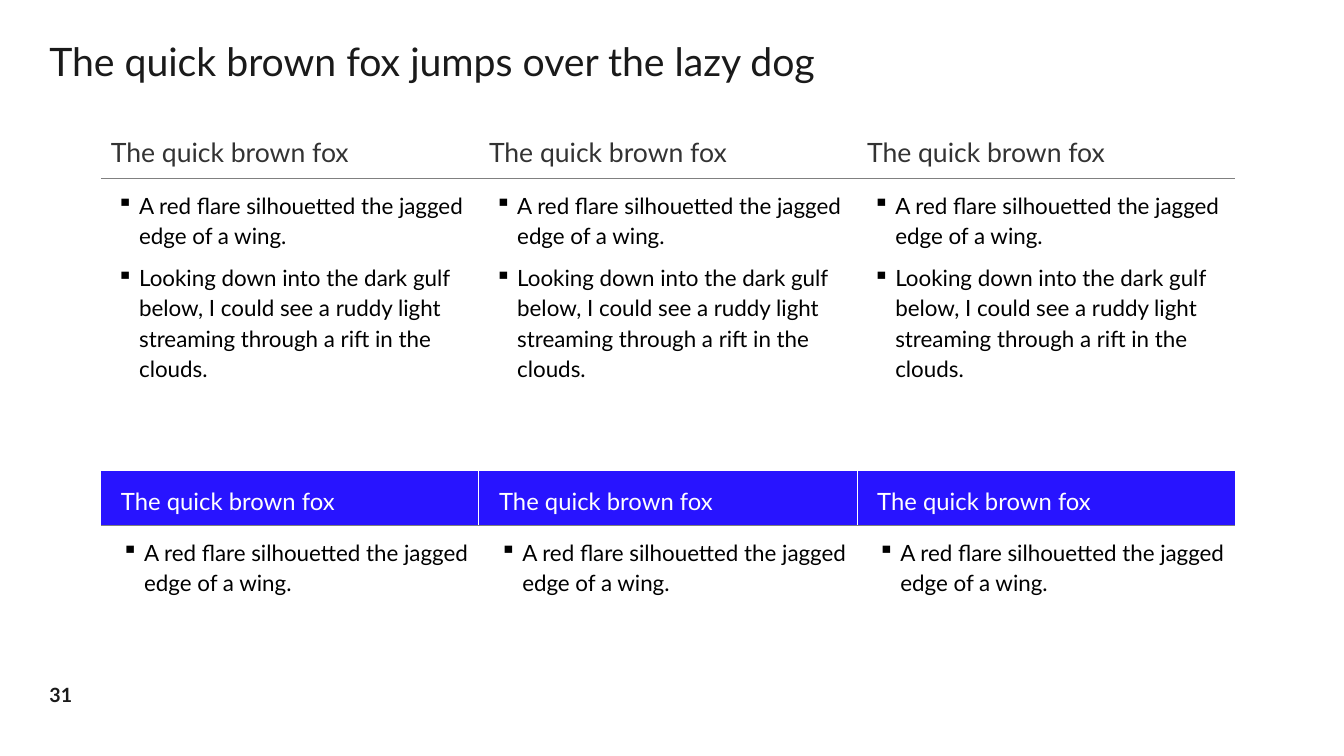
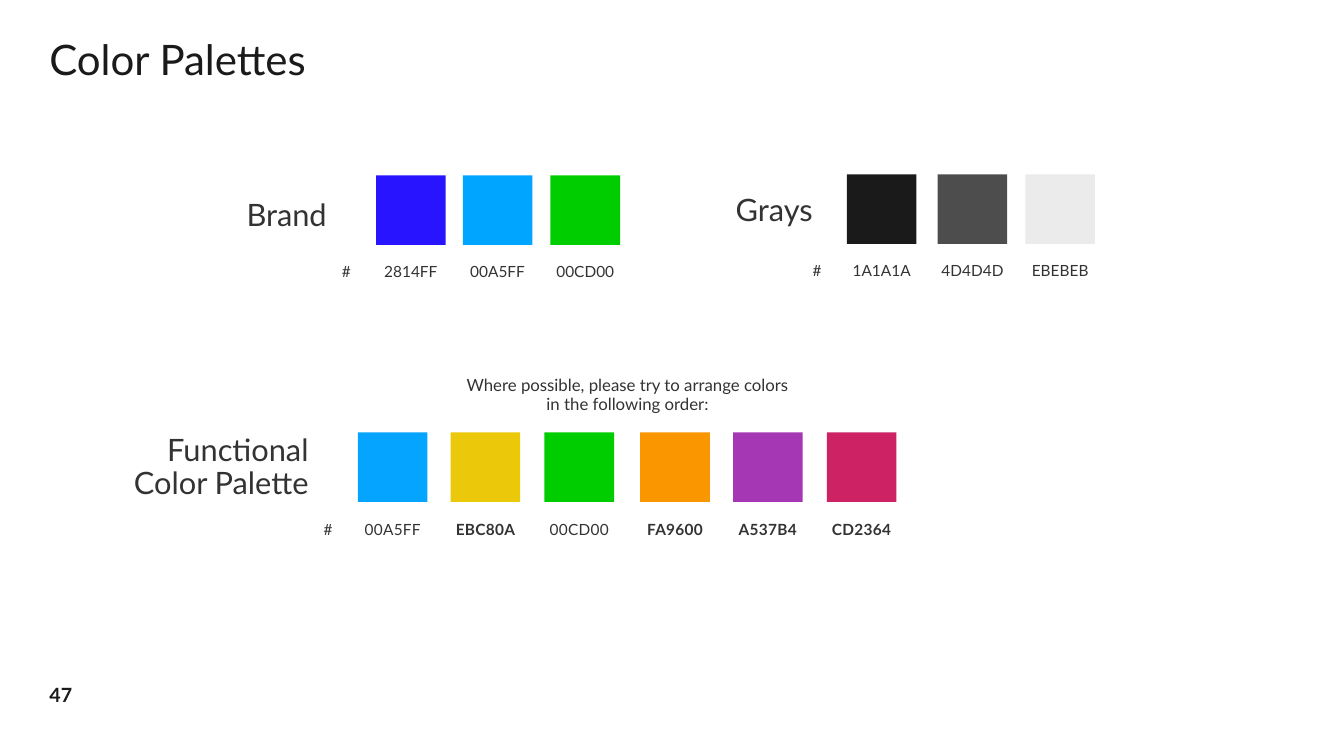
import pptx
import pptx.dml.color
import pptx.enum.shapes
import pptx.enum.text
import pptx.oxml
import pptx.oxml.ns
import pptx.util
import lxml.etree

Inches = pptx.util.Inches
Pt = pptx.util.Pt
RGBColor = pptx.dml.color.RGBColor
Align = pptx.enum.text.PP_ALIGN
Anchor = pptx.enum.text.MSO_ANCHOR
qn = pptx.oxml.ns.qn

FONT = "Lato"
WHITE = RGBColor(0xFF, 0xFF, 0xFF)
BLACK = RGBColor(0x00, 0x00, 0x00)
INK = RGBColor(0x1A, 0x1A, 0x1A)
DARK_GRAY = RGBColor(0x33, 0x33, 0x33)
MID_GRAY = RGBColor(0x4D, 0x4D, 0x4D)
RULE_GRAY = RGBColor(0x80, 0x80, 0x80)
LIGHT_GRAY = RGBColor(0xEB, 0xEB, 0xEB)
BLUE = RGBColor(0x28, 0x14, 0xFF)
SKY = RGBColor(0x00, 0xA5, 0xFF)
FUNCTIONAL_SKY = RGBColor(0x04, 0xA4, 0xFF)
GREEN = RGBColor(0x00, 0xCD, 0x00)
YELLOW = RGBColor(0xEB, 0xC8, 0x0A)
ORANGE = RGBColor(0xFA, 0x96, 0x00)
PURPLE = RGBColor(0xA5, 0x37, 0xB4)
CRIMSON = RGBColor(0xCD, 0x23, 0x64)

HEADING = "The quick brown fox"
FLARE = "A red flare silhouetted the jagged edge of a wing."
GULF = ("Looking down into the dark gulf below, I could see a ruddy light "
        "streaming through a rift in the clouds.")
COLUMNS = 3
COLUMN_WIDTH = 3.75
GRAY_RULE = (RULE_GRAY, 1)
WHITE_RULE = (WHITE, 0.75)
SWATCH = 0.69
INSET = 0.03


def style(paragraph, size, color, bold=False, spacing=1.0, align=Align.LEFT):
    paragraph.line_spacing = spacing
    paragraph.alignment = align
    font = paragraph.font
    font.name = FONT
    font.size = Pt(size)
    font.bold = bold
    font.color.rgb = color


def add_text(shapes, area, lines, size, color=DARK_GRAY, inset=INSET,
             anchor=Anchor.MIDDLE, wrap=True, tracking=0, **look):
    box = shapes.add_textbox(*(Inches(length) for length in area))
    frame = box.text_frame
    frame.word_wrap = wrap
    frame.vertical_anchor = anchor
    frame.margin_left = frame.margin_right = Inches(inset)
    frame.margin_top = frame.margin_bottom = Inches(min(inset, 0.05))
    frame.text = "\n".join(lines)
    for paragraph in frame.paragraphs:
        style(paragraph, size, color, **look)
        if tracking:
            defaults = paragraph._p.pPr.find(qn("a:defRPr"))
            defaults.set("spc", str(tracking))


def add_page(deck, title, title_size, number):
    page = deck.slides.add_slide(deck.slide_layouts[6])
    page.background.fill.solid()
    page.background.fill.fore_color.rgb = WHITE
    add_text(page.shapes, (0.49, 6.68, 0.78, 0.43), [number], 14, INK,
             inset=0, bold=True)
    add_text(page.shapes, (0.39, 0.4, 12.55, 0.49), [title], title_size, INK,
             inset=0.1, anchor=Anchor.BOTTOM, spacing=0.9)
    return page


def set_borders(cell, **rules):
    properties = cell._tc.get_or_add_tcPr()
    for index, side in enumerate("LRTB"):
        line = pptx.oxml.parse_xml(
            '<a:ln%s xmlns:a="%s"/>' % (side, pptx.oxml.ns.nsuri("a")))
        rule = rules.get(side)
        if rule:
            color, width = rule
            line.set("w", str(Pt(width)))
            fill = lxml.etree.SubElement(line, qn("a:solidFill"))
            lxml.etree.SubElement(fill, qn("a:srgbClr"), val=str(color))
        else:
            line.set("w", "0")
            lxml.etree.SubElement(line, qn("a:noFill"))
        properties.insert(index, line)


def add_bullet(paragraph):
    properties = paragraph._p.get_or_add_pPr()
    properties.set("marL", str(Inches(0.28)))
    properties.set("indent", str(Inches(-0.22)))
    lxml.etree.SubElement(properties, qn("a:buChar"), char="▪")


def fill_cell(cell, lines, left_inset, fill):
    cell.margin_left = Inches(left_inset)
    cell.margin_right = cell.margin_top = cell.margin_bottom = Inches(0.1)
    if fill is None:
        cell.fill.background()
    else:
        cell.fill.solid()
        cell.fill.fore_color.rgb = fill
    cell.text_frame.text = "\n".join(lines)


def add_column_table(page, left, top, heights, items, insets, heading_size,
                     heading_color, heading_fill=None, divider=None):
    table = page.shapes.add_table(
        2, COLUMNS, Inches(left), Inches(top),
        Inches(COLUMNS * COLUMN_WIDTH), Inches(sum(heights))).table
    table.first_row = table.horz_banding = False
    for row, height in zip(table.rows, heights):
        row.height = Inches(height)
    for index in range(COLUMNS):
        table.columns[index].width = Inches(COLUMN_WIDTH)
        sides = {"L": divider if index else None,
                 "R": divider if index < COLUMNS - 1 else None}

        heading = table.cell(0, index)
        fill_cell(heading, [HEADING], insets[0], heading_fill)
        heading.vertical_anchor = Anchor.MIDDLE
        style(heading.text_frame.paragraphs[0], heading_size, heading_color,
              spacing=1.2)
        set_borders(heading, B=GRAY_RULE, **sides)

        body = table.cell(1, index)
        fill_cell(body, items, insets[1], None)
        for position, paragraph in enumerate(body.text_frame.paragraphs):
            add_bullet(paragraph)
            paragraph.space_before = Pt(4 if position else 0)
            paragraph.space_after = Pt(4)
            style(paragraph, 16, BLACK, spacing=1.14)
        set_borders(body, T=GRAY_RULE, **sides)


def add_palette(page, left, top, offsets, swatches, code_drop, tracking=0):
    shapes = page.shapes.add_group_shape().shapes
    code_top = top + code_drop
    add_text(shapes, (left - 0.37, code_top, 0.38, 0.26), ["#"], 11,
             spacing=1.2, tracking=tracking)
    for offset, (color, code, bold) in zip(offsets, swatches):
        square = shapes.add_shape(
            pptx.enum.shapes.MSO_SHAPE.RECTANGLE, Inches(left + offset),
            Inches(top), Inches(SWATCH), Inches(SWATCH))
        square.shadow.inherit = False
        square.fill.solid()
        square.fill.fore_color.rgb = color
        square.line.fill.background()
        add_text(shapes, (left + offset, code_top, SWATCH, 0.26), [code], 11,
                 bold=bold, spacing=1.2, align=Align.CENTER,
                 tracking=tracking)


def add_palette_name(page, area, lines, spacing=0.9):
    add_text(page.shapes, area, lines, 22, wrap=False, spacing=spacing,
             align=Align.RIGHT)


def build_tables_page(deck):
    page = add_page(deck, "The quick brown fox jumps over the lazy dog", 28,
                    "31")
    add_column_table(page, 1, 1.19, (0.58, 2.43), [FLARE, GULF], (0.1, 0.1),
                     19, DARK_GRAY)
    add_column_table(page, 1, 4.67, (0.53, 1.3), [FLARE], (0.2, 0.15),
                     17, WHITE, BLUE, WHITE_RULE)


def build_palettes_page(deck):
    page = add_page(deck, "Color Palettes", 30, "47")

    add_palette_name(page, (2.34, 1.85, 0.93, 0.47), ["Brand"], 1.2)
    add_palette(page, 3.73, 1.74, (0, 0.86, 1.73), [
        (BLUE, "2814FF", False),
        (SKY, "00A5FF", False),
        (GREEN, "00CD00", False)], 0.8)

    add_palette_name(page, (7.17, 1.9, 0.92, 0.39), ["Grays"])
    add_palette(page, 8.4, 1.73, (0, 0.9, 1.77), [
        (INK, "1A1A1A", False),
        (MID_GRAY, "4D4D4D", False),
        (LIGHT_GRAY, "EBEBEB", False)], 0.8)

    add_palette_name(page, (1.07, 4.28, 2.02, 0.72),
                     ["Functional", "Color Palette"])
    offsets = [half + step for half in (0, 2.8) for step in (0, 0.92, 1.85)]
    add_palette(page, 3.55, 4.29, offsets, [
        (FUNCTIONAL_SKY, "00A5FF", False),
        (YELLOW, "EBC80A", True),
        (GREEN, "00CD00", False),
        (ORANGE, "FA9600", True),
        (PURPLE, "A537B4", True),
        (CRIMSON, "CD2364", True)], 0.81, tracking=20)
    add_text(page.shapes, (4.57, 3.72, 3.31, 0.4),
             ["Where possible, please try to arrange colors in the "
              "following order:"], 12, spacing=0.97, align=Align.CENTER)


def main():
    deck = pptx.Presentation()
    deck.slide_width = Inches(13.33)
    deck.slide_height = Inches(7.5)
    build_tables_page(deck)
    build_palettes_page(deck)
    deck.save("out.pptx")


if __name__ == "__main__":
    main()
